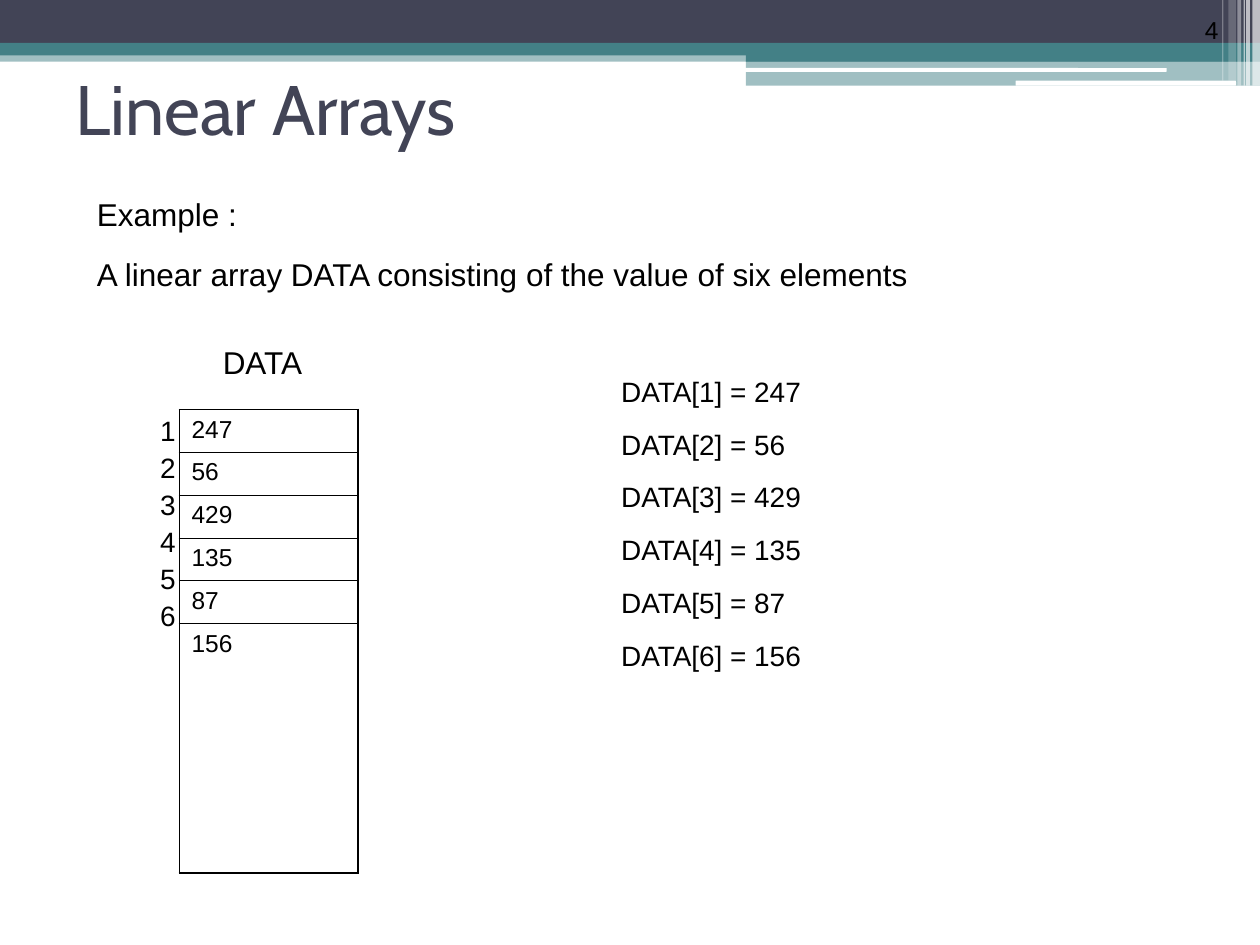
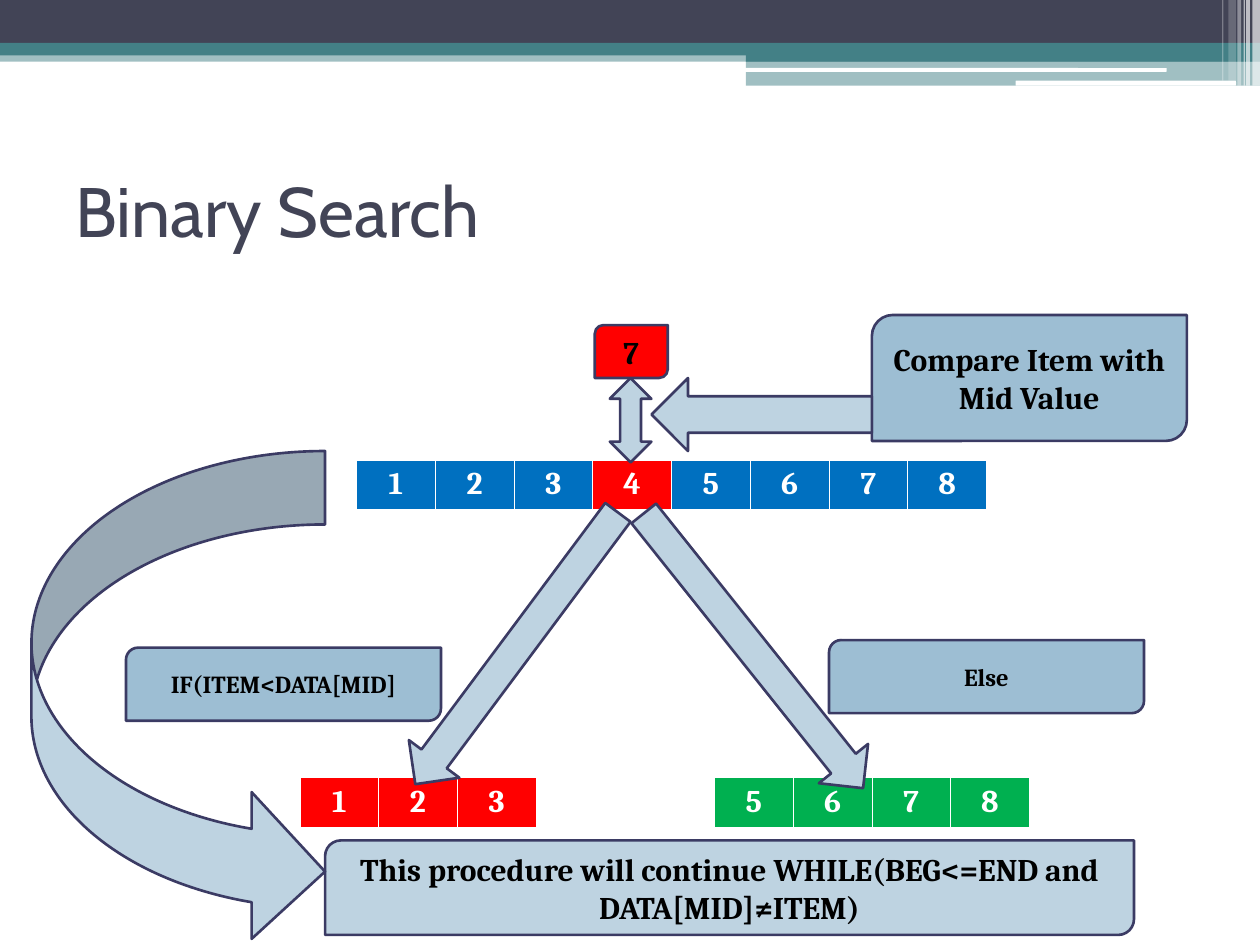
from lxml.etree import SubElement
from pptx import Presentation
from pptx.dml.color import RGBColor
from pptx.enum.shapes import MSO_SHAPE as Shape
from pptx.enum.text import MSO_ANCHOR as Anchor, MSO_AUTO_SIZE as AutoSize, PP_ALIGN as Align
from pptx.oxml.ns import qn
from pptx.util import Pt

PX = 9144  # EMU in one px, 100 px to the inch

SLATE = RGBColor(0x42, 0x44, 0x56)
TEAL = RGBColor(0x43, 0x80, 0x86)
WHITE = RGBColor(0xFF, 0xFF, 0xFF)
BLACK = RGBColor(0, 0, 0)
OUTLINE = RGBColor(0x3B, 0x3B, 0x64)
MIST = RGBColor(0xBE, 0xD3, 0xE1)
SKY = RGBColor(0x9D, 0xBE, 0xD3)
BLUE = RGBColor(0x00, 0x70, 0xC0)
RED = RGBColor(0xFF, 0, 0)
GREEN = RGBColor(0x00, 0xB0, 0x50)

TITLE_FONT, BODY_FONT, DIAGRAM_FONT = "Cabin", "Arial", "Cambria"
TITLE_AND_BODY, TITLE_ONLY = 1, 5  # layouts of the template
THIN, THICK = 0.45, 1.08  # cell borders in points

# Header bands: shape, left, top, width, height, colour, opacity in percent
BANDS = [
    (Shape.RECTANGLE, 0, 40, 1000, 9, TEAL, 50),
    (Shape.RECTANGLE, 0, 0, 1000, 34, SLATE, 100),
    (Shape.RECTANGLE, 0, 34, 1000, 10, TEAL, 100),
    (Shape.RECTANGLE, 592, 39, 408, 10, TEAL, 100),
    (Shape.RECTANGLE, 592, 48, 408, 20, TEAL, 50),
    (Shape.ROUNDED_RECTANGLE, 591, 54, 335, 3, WHITE, 100),
    (Shape.ROUNDED_RECTANGLE, 806, 64, 175, 4, WHITE, 100),
]
# Light stripes in the corner: left, width, height, opacity in percent
STRIPES = [(994, 6, 68, 65), (989, 3, 68, 65), (987, 1, 68, 60),
           (982, 3, 68, 40), (975, 6, 64, 20), (970, 1, 64, 30)]


def write(frame, lines, size, font=BODY_FONT, color=BLACK, bold=False,
          align=Align.LEFT, gap=0):
    """Fill a text frame, one paragraph for each line."""
    for index, line in enumerate(lines):
        para = frame.paragraphs[0] if index == 0 else frame.add_paragraph()
        para.alignment = align
        para.space_before = Pt(gap if index else 0)
        span = para.add_run()
        span.text = line
        span.font.name = font
        span.font.size = Pt(size)
        span.font.bold = bold
        span.font.color.rgb = color


def set_borders(cell, color, **widths):
    """Draw the given sides (L, R, T, B) of a cell; widths in points."""
    properties = cell._tc.get_or_add_tcPr()
    for side in "LRTB":
        if side in widths:
            line = SubElement(properties, qn(f"a:ln{side}"), w=str(Pt(widths[side])))
            fill = SubElement(line, qn("a:solidFill"))
            SubElement(fill, qn("a:srgbClr"), val=str(color))


class Page:
    """The current slide and the style of its elements."""

    def __init__(self, deck, layout, title, top, height):
        self.slide = deck.slides.add_slide(deck.slide_layouts[layout])
        self.shapes = self.slide.shapes
        self.header()
        self.placeholder(self.shapes.title, [title], 50, top, 900, height, size=40,
                         font=TITLE_FONT, color=SLATE)
        self.shapes.title.text_frame.vertical_anchor = Anchor.MIDDLE

    def box(self, kind, left, top, width, height, fill, opacity=100):
        shape = self.shapes.add_shape(kind, *(PX * n for n in (left, top, width, height)))
        shape.shadow.inherit = False
        shape.fill.solid()
        shape.fill.fore_color.rgb = fill
        shape.line.fill.background()
        if opacity < 100:
            color = shape._element.spPr.find(qn("a:solidFill"))[0]
            SubElement(color, qn("a:alpha"), val=str(opacity * 1000))
        return shape

    def header(self):
        for band in BANDS:
            self.box(*band)
        for left, width, height, opacity in STRIPES:
            self.box(Shape.RECTANGLE, left, 0, width, height, WHITE, opacity)

    def placeholder(self, holder, lines, left, top, width, height, **style):
        holder.left, holder.top = PX * left, PX * top
        holder.width, holder.height = PX * width, PX * height
        holder.text_frame.auto_size = AutoSize.NONE
        write(holder.text_frame, lines, **style)

    def plain_list(self, lines, left, top, width, height, **style):
        holder = self.slide.placeholders[1]
        self.placeholder(holder, lines, left, top, width, height, **style)
        for para in holder.text_frame.paragraphs:
            properties = para._p.get_or_add_pPr()
            properties.set("marL", "0")
            properties.set("indent", "0")
            SubElement(properties, qn("a:buNone"))

    def text(self, lines, left, top, width, height, anchor=Anchor.TOP, **style):
        box = self.shapes.add_textbox(*(PX * n for n in (left, top, width, height)))
        box.text_frame.word_wrap = True
        box.text_frame.vertical_anchor = anchor
        write(box.text_frame, lines, **style)

    def outlined(self, kind, left, top, width, height, fill=MIST, turn=0):
        shape = self.box(kind, left, top, width, height, fill)
        shape.rotation = turn
        shape.line.color.rgb = OUTLINE
        shape.line.width = Pt(1.5)
        return shape

    def label(self, text, left, top, width, height, fill=SKY, size=18):
        shape = self.outlined(Shape.ROUND_2_DIAG_RECTANGLE, left, top, width, height, fill)
        write(shape.text_frame, [text], size, DIAGRAM_FONT, bold=True, align=Align.CENTER)

    def table(self, left, top, widths, heights):
        frame = self.shapes.add_table(len(heights), len(widths), PX * left, PX * top,
                                      int(PX * sum(widths)), PX * sum(heights))
        table = frame.table
        table.first_row = table.horz_banding = False
        for column, width in zip(table.columns, widths):
            column.width = int(PX * width)
        for row, height in zip(table.rows, heights):
            row.height = PX * height
        return table

    def array_strip(self, values, left, top, fill, middle=None):
        """One row of array cells; the middle value is marked red."""
        table = self.table(left, top, [62.5] * len(values), [40])
        for cell, value in zip(table.iter_cells(), values):
            set_borders(cell, WHITE, L=THIN, R=THIN, T=THIN, B=1.47)
            cell.fill.solid()
            cell.fill.fore_color.rgb = RED if value == middle else fill
            write(cell.text_frame, [str(value)], 18, DIAGRAM_FONT, WHITE, True, Align.CENTER)

    def memory_column(self, values, left, top):
        """Array values under each other, with their indexes on the left."""
        last = len(values) - 1
        table = self.table(left, top, [25, 142], [34] * last + [198])
        for row, value in enumerate(values):
            index_cell, cell = table.cell(row, 0), table.cell(row, 1)
            set_borders(index_cell, BLACK, R=THIN)
            set_borders(cell, BLACK, L=THIN, R=THICK, T=THIN if row else THICK,
                        B=THICK if row == last else THIN)
            index_cell.fill.background()
            cell.fill.background()
            write(cell.text_frame, [str(value)], 14)
        table.cell(0, 0).merge(table.cell(last, 0))
        indexes = [str(n) for n in range(1, len(values) + 1)]
        write(table.cell(0, 0).text_frame, indexes, 16, gap=3.4)


def linear_arrays(deck):
    page = Page(deck, TITLE_AND_BODY, "Linear Arrays", 33, 104)
    data = [247, 56, 429, 135, 87, 156]
    page.text(["Example :", "A linear array DATA consisting of the value of six elements"],
              67, 150, 900, 86, size=18, gap=12.4)
    page.plain_list([f"DATA[{n}] = {value}" for n, value in enumerate(data, 1)],
                    483, 292, 375, 240, size=16, gap=11)
    page.memory_column(data, 117, 325)
    page.text(["DATA"], 167, 267, 200, 40, size=18)
    page.text(["4"], 894, 0, 83, 40, anchor=Anchor.BOTTOM, size=14, align=Align.RIGHT)


def binary_search(deck):
    page = Page(deck, TITLE_ONLY, "Binary Search", 108, 117)

    # Comparison with the middle element
    page.array_strip(range(1, 9), 283, 365, BLUE, middle=4)
    page.label("Compare Item with Mid Value", 692, 250, 250, 100)
    page.label("7", 472, 258, 58, 42, fill=RED)
    page.outlined(Shape.LEFT_RIGHT_ARROW, 467, 317, 67, 33, turn=270)
    page.outlined(Shape.LEFT_ARROW, 517, 300, 175, 58)

    # The two halves and the ways to them
    page.array_strip(range(1, 4), 238, 617, RED)
    page.array_strip(range(5, 9), 567, 617, GREEN)
    page.outlined(Shape.DOWN_ARROW, 385, 380, 50, 269, turn=36.7)
    page.outlined(Shape.DOWN_ARROW, 573, 377, 50, 279, turn=321.4)
    page.label("Else", 658, 508, 250, 58, size=14)
    page.label("IF(ITEM<DATA[MID]", 100, 514, 250, 58, size=14)

    # Repetition
    page.label("This procedure will continue WHILE(BEG<=END and DATA[MID]≠ITEM)",
               258, 667, 642, 75, fill=MIST)
    page.outlined(Shape.CURVED_RIGHT_ARROW, 25, 358, 233, 392)


def main():
    deck = Presentation()
    deck.slide_width, deck.slide_height = 1000 * PX, 750 * PX
    linear_arrays(deck)
    binary_search(deck)
    deck.save("out.pptx")


if __name__ == "__main__":
    main()
